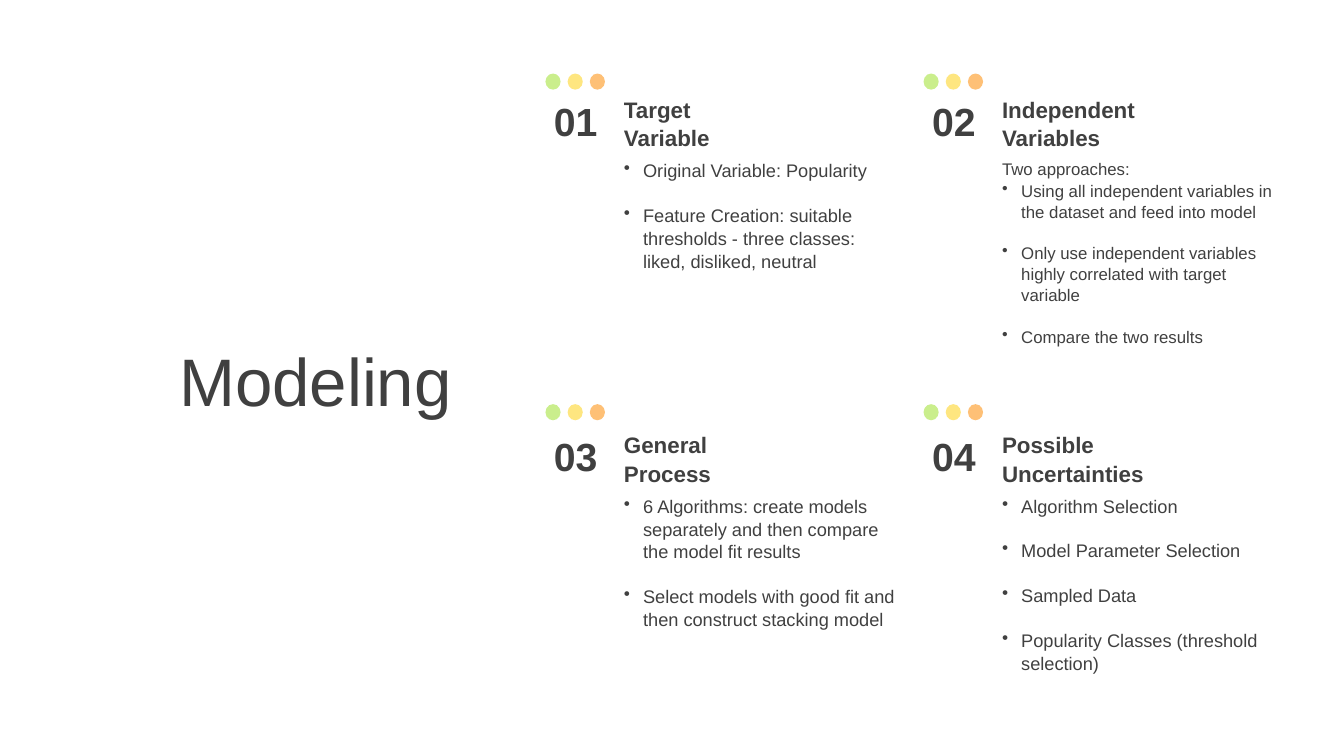
from pptx import Presentation
from pptx.dml.color import RGBColor
from pptx.enum.shapes import MSO_SHAPE as Shape
from pptx.enum.text import MSO_ANCHOR as Anchor, MSO_AUTO_SIZE as AutoSize, PP_ALIGN as Align
from pptx.oxml.ns import qn
from pptx.util import Inches, Pt
from lxml import etree

# Content
TITLE = "Modeling"
INK = "404040"
DOT_COLOURS = ["CAEE8C", "FEE680", "FEC076"]
# Each topic: heading lines, intro, bullets, body size, body height
TOPICS = [
    (["Target", "Variable"], None,
     ["Original Variable: Popularity",
      "Feature Creation: suitable thresholds - three classes: liked, disliked, neutral"],
     13, 1.19),
    (["Independent", "Variables"], "Two approaches:",
     ["Using all independent variables in the dataset and feed into model",
      "Only use independent variables highly correlated with target variable",
      "Compare the two results"],
     12, 1.92),
    (["General", "Process"], None,
     ["6 Algorithms: create models separately and then compare the model fit results",
      "Select models with good fit and then construct stacking model"],
     13, 1.63),
    (["Possible", "Uncertainties"], None,
     ["Algorithm Selection", "Model Parameter Selection", "Sampled Data",
      "Popularity Classes (threshold selection)"],
     13, 2.47),
]

# Layout, in inches
COLUMN_LEFT, COLUMN_STEP = 5.38, 3.75
TEXT_TOPS, DOT_TOPS = [0.89, 4.22], [0.73, 4.01]
HEADING_OFFSET, HEADING_WIDTH, HEADING_HEIGHT = 0.71, 2.88, 0.64
DOT_OFFSET, DOT_STEP = 0.03, 0.22
BULLET_INDENT = 0.19
LINE_SPACING = 1.05

prs = Presentation()
prs.slide_width, prs.slide_height = Inches(13.33), Inches(7.5)
slide = prs.slides.add_slide(prs.slide_layouts[6])


def colour(hex_value):
    return RGBColor.from_string(hex_value)


def add_text(left, top, width, height, lines, size, bold=False,
             align=Align.LEFT, anchor=Anchor.TOP, fit=AutoSize.SHAPE_TO_FIT_TEXT):
    box = slide.shapes.add_textbox(*map(Inches, (left, top, width, height)))
    frame = box.text_frame
    frame.word_wrap = True
    frame.auto_size = fit
    frame.vertical_anchor = anchor
    frame.text = "\n".join(lines)
    for paragraph in frame.paragraphs:
        paragraph.alignment = align
        paragraph.line_spacing = LINE_SPACING
        font = paragraph.font
        font.name, font.size, font.bold = "Arial", Pt(size), bold
        font.color.rgb = colour(INK)
    return frame.paragraphs


def add_bullet(paragraph):
    properties = paragraph._p.get_or_add_pPr()
    properties.set("marL", str(Inches(BULLET_INDENT)))
    properties.set("indent", str(-Inches(BULLET_INDENT)))
    bullet = etree.Element(qn("a:buChar"), char="•")
    properties.find(qn("a:defRPr")).addprevious(bullet)


# Title
add_text(1.63, 2.45, 2.95, 2.6, [TITLE], 48,
         align=Align.RIGHT, anchor=Anchor.MIDDLE, fit=AutoSize.NONE)

# Topics in a two by two grid
for index, (heading, intro, bullets, size, body_height) in enumerate(TOPICS):
    row, column = divmod(index, 2)
    left = COLUMN_LEFT + column * COLUMN_STEP
    top = TEXT_TOPS[row]
    text_left = left + HEADING_OFFSET

    # Number and heading
    add_text(left, top, 0.66, 0.57, [f"{index + 1:02}"], 28, True, Align.CENTER)
    add_text(text_left, top, HEADING_WIDTH, HEADING_HEIGHT, heading, 16, True)

    # Body, with one line of space between bullets
    intro_lines = [intro] if intro else []
    body = add_text(text_left, top + 0.63, HEADING_WIDTH, body_height,
                    intro_lines + bullets, size)
    for position, paragraph in enumerate(body[len(intro_lines):]):
        if position:
            paragraph.space_before = Pt(size * 1.2)
        add_bullet(paragraph)

    # Dots
    for position, dot_colour in enumerate(DOT_COLOURS):
        dot = slide.shapes.add_shape(
            Shape.OVAL, Inches(left + DOT_OFFSET + position * DOT_STEP),
            Inches(DOT_TOPS[row]), Inches(0.15), Inches(0.16))
        dot.shadow.inherit = False
        dot.fill.solid()
        dot.fill.fore_color.rgb = colour(dot_colour)
        dot.line.fill.background()

prs.save("out.pptx")
